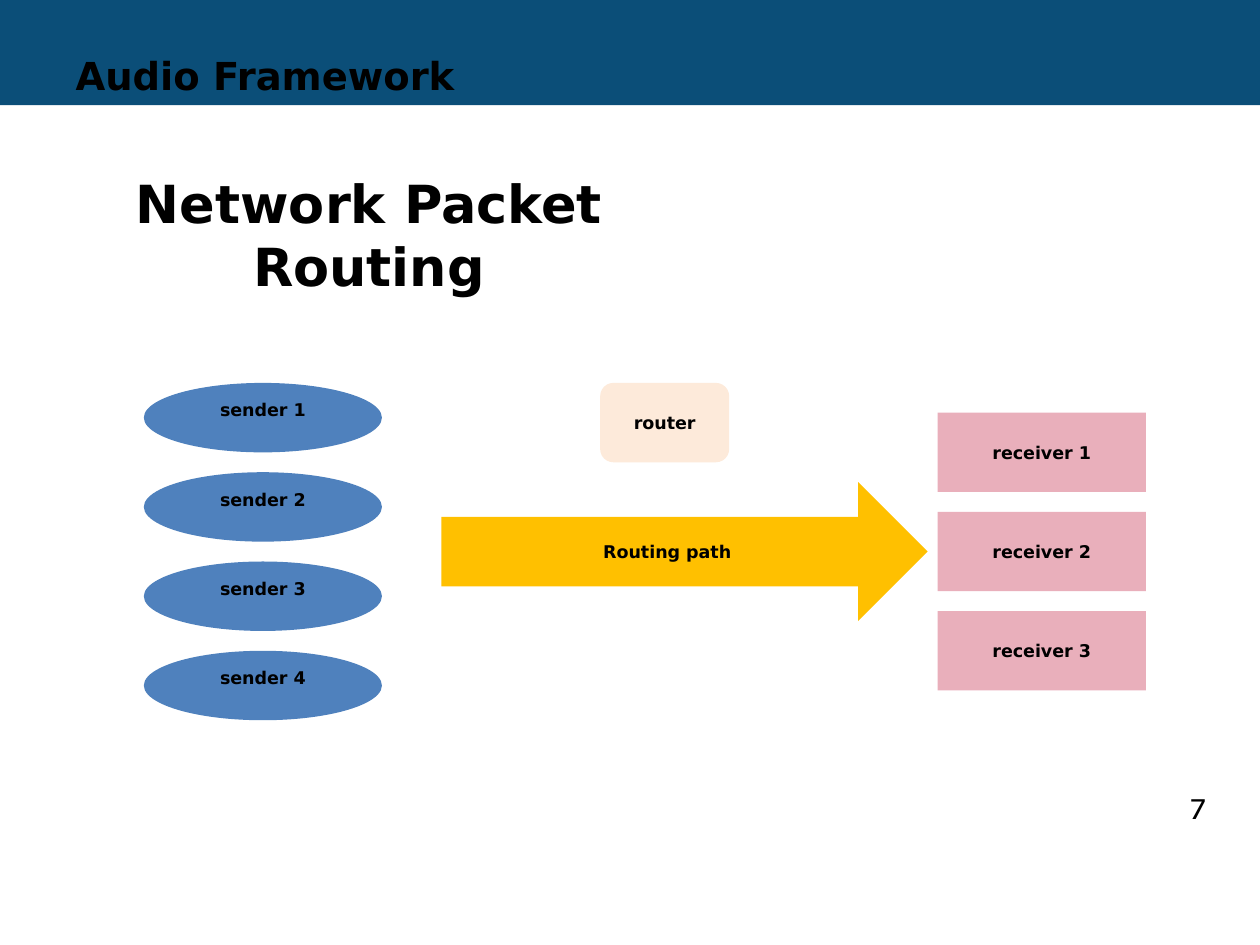
from dataclasses import dataclass

from pptx import Presentation
from pptx.dml.color import RGBColor
from pptx.enum.shapes import MSO_SHAPE
from pptx.enum.text import MSO_ANCHOR, MSO_AUTO_SIZE, PP_ALIGN
from pptx.util import Cm, Pt

RECT, ROUNDED = MSO_SHAPE.RECTANGLE, MSO_SHAPE.ROUNDED_RECTANGLE
OVAL, ARROW, BRACKETS = MSO_SHAPE.OVAL, MSO_SHAPE.RIGHT_ARROW, MSO_SHAPE.DOUBLE_BRACKET
TOP, MIDDLE = MSO_ANCHOR.TOP, MSO_ANCHOR.MIDDLE
LEFT, CENTER = PP_ALIGN.LEFT, PP_ALIGN.CENTER
TITLE_ONLY = 5


@dataclass(frozen=True)
class Theme:
    font: str = "DejaVu Sans"
    number_font: str = "Karla"
    text: str = "000000"
    band: str = "0B4E78"
    sender: str = "4F81BD"
    router: str = "FDEADA"
    receiver: str = "E9AFBB"
    route: str = "FFC000"
    title_size: int = 22
    heading_size: int = 30
    number_size: int = 18
    label_size: int = 10


THEME = Theme()


def write(frame, text, size, align=CENTER, anchor=MIDDLE, font=THEME.font, bold=True):
    frame.text = text
    frame.vertical_anchor = anchor
    paragraph = frame.paragraphs[0]
    paragraph.alignment = align
    style = paragraph.runs[0].font
    style.name, style.size, style.bold = font, Pt(size), bold
    style.color.rgb = RGBColor.from_string(THEME.text)


def add_flat_shape(slide, kind, box, fill=None):
    """Add a shape without line or shadow; box is left, top, width, height in cm."""
    shape = slide.shapes.add_shape(kind, *map(Cm, box))
    shape.shadow.inherit = False
    shape.line.fill.background()
    if fill:
        shape.fill.solid()
        shape.fill.fore_color.rgb = RGBColor.from_string(fill)
    else:
        shape.fill.background()
    return shape


def add_node(slide, kind, box, fill, label, anchor=MIDDLE):
    node = add_flat_shape(slide, kind, box, fill)
    write(node.text_frame, label, THEME.label_size, anchor=anchor)


def add_column(slide, kind, box, pitch, count, fill, role, anchor=MIDDLE):
    """Stack numbered nodes downwards at an even pitch."""
    left, top, width, height = box
    for i in range(count):
        add_node(slide, kind, (left, top + i * pitch, width, height),
                 fill, f"{role} {i + 1}", anchor)


def add_title_band(slide):
    band = add_flat_shape(slide, RECT, (0, 0, 25.4, 2.12), THEME.band)
    title = slide.shapes.title
    band._element.addnext(title._element)
    title.left, title.top, title.width, title.height = map(Cm, (1.27, 0.97, 22.86, 1.07))
    write(title.text_frame, "Audio Framework", THEME.title_size, LEFT)
    title.text_frame.auto_size = MSO_AUTO_SIZE.NONE


def add_heading(slide):
    heading = slide.shapes.add_textbox(*map(Cm, (2.49, 3.33, 12.8, 1.55)))
    frame = heading.text_frame
    frame.word_wrap = True
    frame.margin_left, frame.margin_right = 0, Cm(2.9)
    write(frame, "Network Packet Routing", THEME.heading_size, anchor=TOP)


def add_page_number(slide):
    number = add_flat_shape(slide, BRACKETS, (23.7, 15.7, 1.52, 1.09))
    write(number.text_frame, "7", THEME.number_size, LEFT, TOP, THEME.number_font, False)


def main():
    deck = Presentation()
    deck.slide_width, deck.slide_height = Cm(25.4), Cm(19.05)
    slide = deck.slides.add_slide(deck.slide_layouts[TITLE_ONLY])

    add_title_band(slide)
    add_page_number(slide)
    add_heading(slide)
    add_column(slide, OVAL, (2.9, 7.72, 4.8, 1.4), 1.8, 4, THEME.sender, "sender", TOP)
    add_node(slide, ROUNDED, (12.1, 7.72, 2.6, 1.6), THEME.router, "router")
    add_column(slide, RECT, (18.9, 8.32, 4.2, 1.6), 2, 3, THEME.receiver, "receiver")
    add_node(slide, ARROW, (8.9, 9.72, 9.8, 2.8), THEME.route, "Routing path")

    deck.save("out.pptx")


if __name__ == "__main__":
    main()
